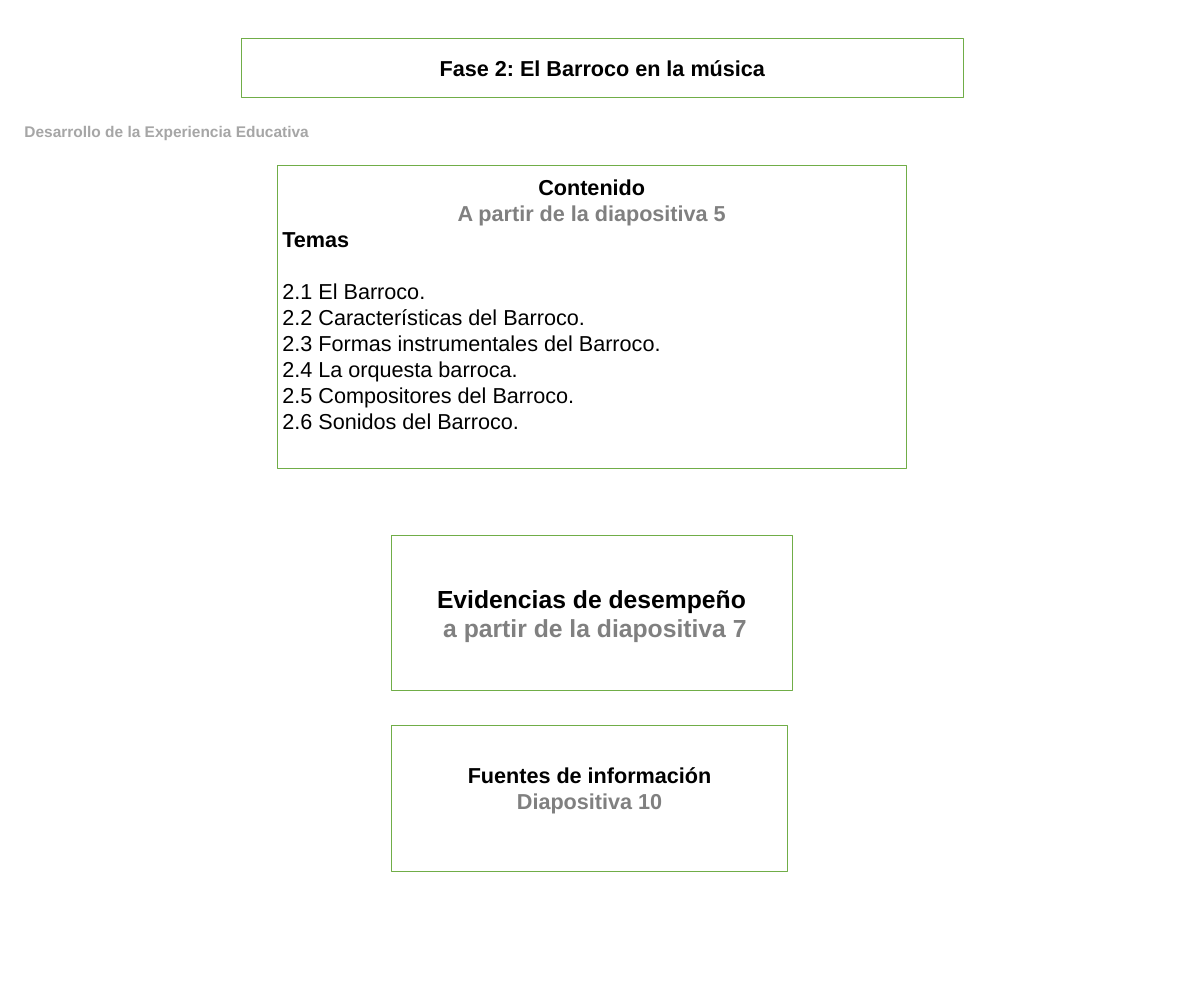
from dataclasses import dataclass

from pptx import Presentation
from pptx.dml.color import RGBColor as RGB
from pptx.enum.shapes import MSO_SHAPE as Shape
from pptx.enum.text import MSO_ANCHOR as Anchor, PP_ALIGN as Align
from pptx.util import Inches, Pt


@dataclass(frozen=True)
class Theme:
    font: str = "Arial"
    ink: str = "000000"
    note: str = "808080"
    pale: str = "A6A6A6"
    edge: str = "70AD47"
    paper: str = "FFFFFF"
    small: int = 20
    body: int = 28
    large: int = 32
    gap: float = 33.5


@dataclass
class Line:
    text: str
    color: str
    size: int
    bold: bool = True
    align: Align = Align.CENTER
    before: float = 0


class Board:
    """Draws on a grid of 100 columns by 100 rows."""

    def __init__(self, deck, theme):
        self.deck, self.theme = deck, theme
        self.slide = deck.slides.add_slide(deck.slide_layouts[6])

    def cols(self, count):
        return round(self.deck.slide_width * count / 100)

    def rows(self, count):
        return round(self.deck.slide_height * count / 100)

    def place(self, left, top, width, height):
        return self.cols(left), self.rows(top), self.cols(width), self.rows(height)

    def letter(self, frame, lines):
        """Sets the lines as paragraphs of the frame, centred in its height."""
        frame.word_wrap = True
        frame.vertical_anchor = Anchor.MIDDLE
        frame.text = "\n".join(line.text for line in lines)
        for para, line in zip(frame.paragraphs, lines):
            para.alignment = line.align
            if line.before:
                para.space_before = Pt(line.before)
            for run in para.runs:
                font = run.font
                font.name, font.size, font.bold = self.theme.font, Pt(line.size), line.bold
                font.color.rgb = RGB.from_string(line.color)

    def panel(self, area, lines, lift=0):
        """Adds a framed box; lift is extra space, in rows, below its text."""
        box = self.slide.shapes.add_shape(Shape.RECTANGLE, *self.place(*area))
        box.shadow.inherit = False
        box.fill.solid()
        box.fill.fore_color.rgb = RGB.from_string(self.theme.paper)
        box.line.color.rgb = RGB.from_string(self.theme.edge)
        box.line.width = Pt(1)
        box.text_frame.margin_bottom += self.rows(lift)
        self.letter(box.text_frame, lines)

    def label(self, area, line):
        box = self.slide.shapes.add_textbox(*self.place(*area))
        self.letter(box.text_frame, [line])


def main():
    deck = Presentation()
    deck.slide_width, deck.slide_height = Inches(21.65), Inches(17.72)
    theme = Theme()
    board = Board(deck, theme)

    def pair(head, note, size):
        return [Line(head, theme.ink, size), Line(note, theme.note, size)]

    topics = [
        "2.1 El Barroco.",
        "2.2 Características del Barroco.",
        "2.3 Formas instrumentales del Barroco.",
        "2.4 La orquesta barroca.",
        "2.5 Compositores del Barroco.",
        "2.6 Sonidos del Barroco.",
    ]
    items = [Line(topic, theme.ink, theme.body, False, Align.LEFT) for topic in topics]
    items[0].before = theme.gap
    temas = Line("Temas", theme.ink, theme.body, align=Align.LEFT)

    board.panel((20.05, 3.89, 59.95, 6.04),
                [Line("Fase 2: El Barroco en la música", theme.ink, theme.body)])
    board.label((-1.71, 11.96, 31.13, 2.82),
                Line("Desarrollo de la Experiencia Educativa", theme.pale, theme.small))
    board.panel((23, 16.76, 52.29, 30.81),
                pair("Contenido", "A partir de la diapositiva 5", theme.body) + [temas] + items,
                lift=2.65)
    board.panel((32.52, 54.4, 33.26, 15.69),
                pair("Evidencias de desempeño", " a partir de la diapositiva 7", theme.large))
    board.panel((32.52, 73.65, 32.89, 14.84),
                pair("Fuentes de información", "Diapositiva 10", theme.body), lift=2.16)
    deck.save("out.pptx")


if __name__ == "__main__":
    main()
